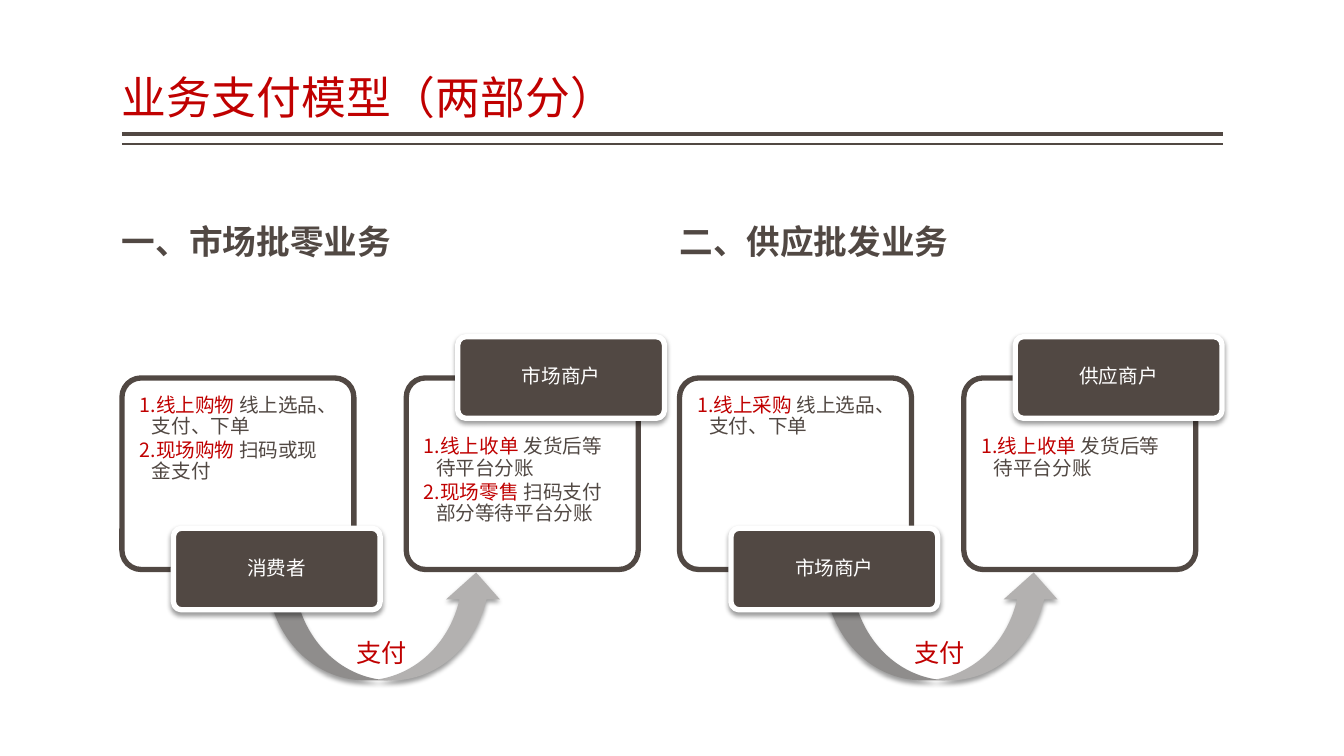
from lxml import etree
from pptx import Presentation
from pptx import util as u
from pptx.dml.color import RGBColor
from pptx.enum import shapes, text
from pptx.oxml import parse_xml
from pptx.oxml.ns import nsdecls, qn

FONT = "Noto Sans CJK SC"
RED = RGBColor(0xC0, 0x00, 0x00)
BROWN = RGBColor(0x51, 0x48, 0x43)
GRAY = RGBColor(0xB3, 0xB1, 0xB0)
WHITE = RGBColor(0xFF, 0xFF, 0xFF)
LEFT = 1.21
PANEL_STEP = 5.53
CARD_STEP = 2.82


def style_run(r, size, color, bold=False):
    r.font.size = u.Pt(size)
    r.font.bold = bold
    r.font.name = FONT
    r.font.color.rgb = color
    ea = etree.SubElement(r.font._element, qn("a:ea"))
    ea.set("typeface", FONT)


def set_margins(tf, left, top, right, bottom):
    tf.margin_left, tf.margin_top = u.Inches(left), u.Inches(top)
    tf.margin_right, tf.margin_bottom = u.Inches(right), u.Inches(bottom)


def add_text(s, x, y, w, h, content, size, color, bold=False):
    tf = s.shapes.add_textbox(*map(u.Inches, (x, y, w, h))).text_frame
    tf.word_wrap = True
    tf.text = content
    style_run(tf.paragraphs[0].runs[0], size, color, bold)
    return tf


def add_heading(s, x, y, w, h, content, size, color, bold=False):
    tf = add_text(s, x, y, w, h, content, size, color, bold)
    tf.vertical_anchor = text.MSO_ANCHOR.BOTTOM
    set_margins(tf, 0, 0.05, 0, 0.05)
    tf.paragraphs[0].line_spacing = 0.9


def add_rule(s, y, width):
    line = s.shapes.add_connector(
        shapes.MSO_CONNECTOR.STRAIGHT,
        u.Inches(LEFT), u.Inches(y), u.Inches(LEFT + 10.92), u.Inches(y))
    line.line.color.rgb = BROWN
    line.line.width = u.Pt(width)
    etree.SubElement(line._element.spPr, qn("a:effectLst"))


def add_figure(s, kind, x, y, w, h, fill, line=None):
    sp = s.shapes.add_shape(kind, *map(u.Inches, (x, y, w, h)))
    sp.shadow.inherit = False
    sp.fill.solid()
    sp.fill.fore_color.rgb = fill
    if line is None:
        sp.line.fill.background()
    else:
        sp.line.color.rgb = line
        sp.line.width = u.Pt(3.8)
    return sp


def add_shadow(sp):
    effects = sp._element.spPr.find(qn("a:effectLst"))
    effects.append(parse_xml(
        f'<a:outerShdw {nsdecls("a")} blurRad="{u.Pt(3.5)}" dist="{u.Pt(2)}" '
        'dir="5400000" rotWithShape="0"><a:srgbClr val="000000">'
        '<a:alpha val="38000"/></a:srgbClr></a:outerShdw>'))


def number_paragraph(p):
    pPr = p._p.get_or_add_pPr()
    pPr.set("marL", str(u.Inches(0.12)))
    pPr.set("indent", str(u.Inches(-0.12)))
    etree.SubElement(pPr, qn("a:buAutoNum")).set("type", "arabicPeriod")


def add_card(s, x, items, top_margin):
    """Outlined card with numbered items, each a (term, detail) pair."""
    sp = add_figure(s, shapes.MSO_SHAPE.ROUNDED_RECTANGLE,
                    x, 3.75, 2.3, 1.9, WHITE, BROWN)
    sp.adjustments[0] = 0.1
    color = sp._element.spPr.find(qn("a:solidFill"))[0]
    etree.SubElement(color, qn("a:alpha")).set("val", "90000")
    tf = sp.text_frame
    tf.word_wrap = True
    tf.vertical_anchor = text.MSO_ANCHOR.TOP
    set_margins(tf, 0.12, top_margin, 0.12, 0.12)
    for i, (term, detail) in enumerate(items):
        p = tf.add_paragraph() if i else tf.paragraphs[0]
        number_paragraph(p)
        p.alignment = text.PP_ALIGN.LEFT
        p.line_spacing = 0.9
        p.space_after = u.Pt(2)
        for words, run_color in ((term + " ", RED), (detail, BROWN)):
            r = p.add_run()
            r.text = words
            style_run(r, 14, run_color)


def add_tag(s, x, y, name):
    sp = add_figure(s, shapes.MSO_SHAPE.ROUNDED_RECTANGLE,
                    x, y, 2.05, 0.81, BROWN, WHITE)
    sp.adjustments[0] = 0.1
    add_shadow(sp)
    tf = sp.text_frame
    tf.word_wrap = True
    tf.vertical_anchor = text.MSO_ANCHOR.MIDDLE
    set_margins(tf, 0.03, 0.02, 0.03, 0.02)
    tf.text = name
    p = tf.paragraphs[0]
    p.alignment = text.PP_ALIGN.CENTER
    p.line_spacing = 0.9
    style_run(p.runs[0], 14, WHITE)


def add_panel(s, x, heading, payer, payer_items, payee, payee_items):
    """Payer card on the left paying the payee card on the right."""
    add_heading(s, x, 1.75, 5.38, 0.9, heading, 24, BROWN, True)
    add_card(s, x, payer_items, 0.12)
    arrow = add_figure(s, shapes.MSO_SHAPE.CURVED_UP_ARROW,
                       x + 1.44, 5.68, 2.34, 1.07, GRAY)
    add_shadow(arrow)
    add_tag(s, x + 0.51, 5.24, payer)
    add_card(s, x + CARD_STEP, payee_items, 0.53)
    add_tag(s, x + CARD_STEP + 0.51, 3.34, payee)
    add_text(s, x + 2.23, 6.27, 0.81, 0.4, "支付", 18, RED)


def main():
    prs = Presentation()
    prs.slide_width, prs.slide_height = u.Inches(13.33), u.Inches(7.5)
    s = prs.slides.add_slide(prs.slide_layouts[6])
    add_rule(s, 1.33, 3)
    add_rule(s, 1.43, 1)
    add_heading(s, LEFT, 0.08, 10.92, 1.2, "业务支付模型（两部分）", 32, RED)
    panels = [
        ("一、市场批零业务",
         "消费者", [("线上购物", "线上选品、支付、下单"),
                 ("现场购物", "扫码或现金支付")],
         "市场商户", [("线上收单", "发货后等待平台分账"),
                  ("现场零售", "扫码支付部分等待平台分账")]),
        ("二、供应批发业务",
         "市场商户", [("线上采购", "线上选品、支付、下单")],
         "供应商户", [("线上收单", "发货后等待平台分账")]),
    ]
    for i, panel in enumerate(panels):
        add_panel(s, LEFT + i * PANEL_STEP, *panel)
    prs.save("out.pptx")


if __name__ == "__main__":
    main()
